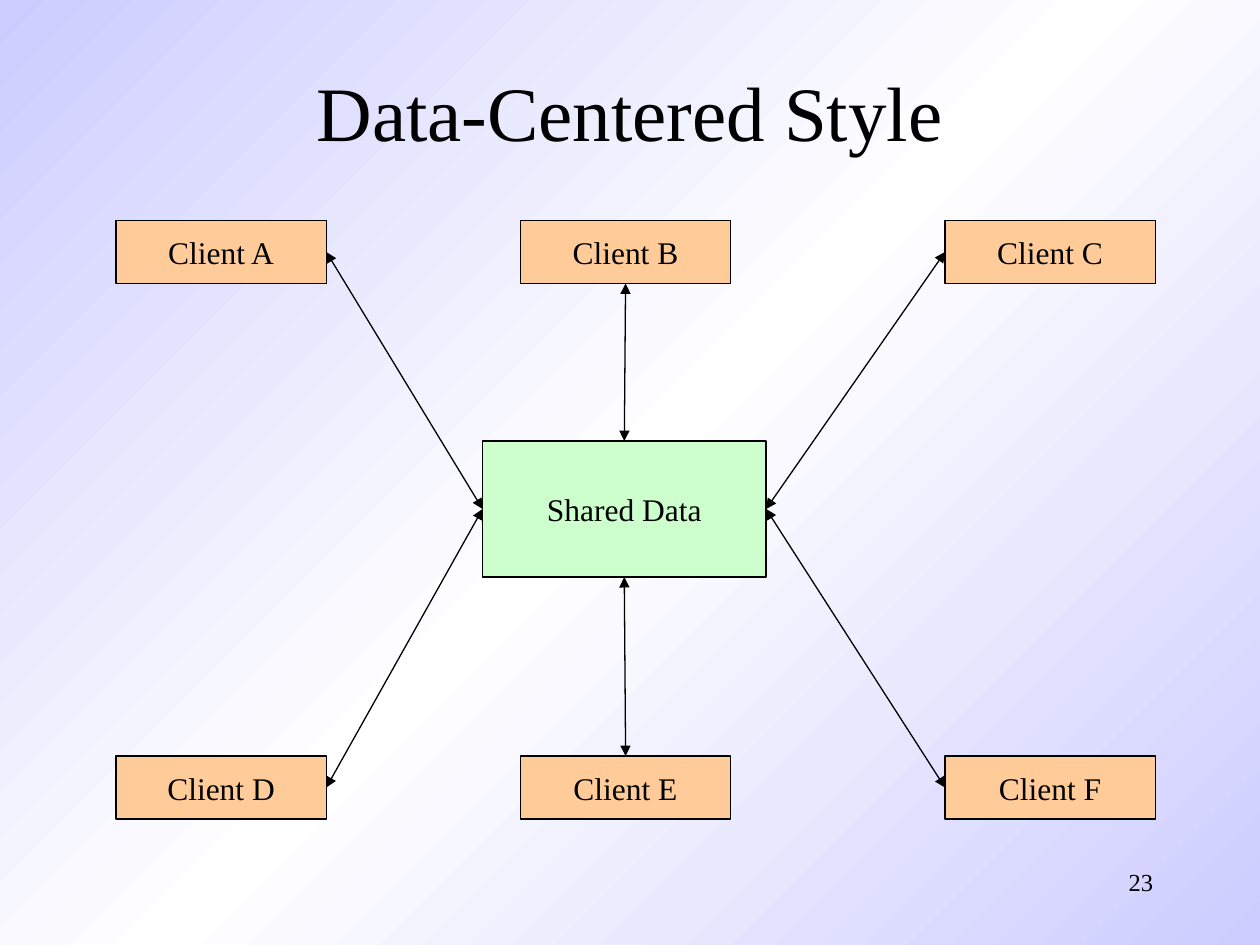
import copy

import pptx
import pptx.dml.color
import pptx.enum.shapes
import pptx.enum.text
import pptx.oxml
import pptx.oxml.ns
import pptx.util

Inches = pptx.util.Inches
ALIGN = pptx.enum.text.PP_ALIGN
ANCHOR = pptx.enum.text.MSO_ANCHOR
TOP, LEFT, BOTTOM, RIGHT = range(4)  # connection sites of a rectangle


def color(hex_string):
    return pptx.dml.color.RGBColor.from_string(hex_string)


def write(shape, text, size, align, frame_format):
    frame = shape.text_frame
    for name, value in frame_format.items():
        setattr(frame, name, value)
    para = frame.paragraphs[0]
    para.alignment = align
    span = para.add_run()
    span.text = text
    font_format = {"name": "Times New Roman", "size": pptx.util.Pt(size)}
    for name, value in font_format.items():
        setattr(span.font, name, value)
    span.font.color.rgb = color("000000")


deck = pptx.Presentation()
deck.slide_width = Inches(10)
deck.slide_height = Inches(7.5)
slide = deck.slides.add_slide(deck.slide_layouts[6])

# Diagonal background, white along the middle
fill = slide.background.fill
fill.gradient()
fill.gradient_angle = 315
stop_list = slide.element.find(".//" + pptx.oxml.ns.qn("a:gsLst"))
stop_list.insert(1, copy.deepcopy(stop_list[0]))
stops = [(0, "CCCCFF"), (0.5, "FFFFFF"), (1, "CCCCFF")]
for stop, (position, shade) in zip(fill.gradient_stops, stops):
    stop.position = position
    stop.color.rgb = color(shade)

# Title and page number
title = slide.shapes.add_textbox(Inches(0.75), Inches(0.25), Inches(8.5), Inches(1.25))
write(title, "Data-Centered Style", 44, ALIGN.CENTER,
      {"word_wrap": True, "vertical_anchor": ANCHOR.MIDDLE})
number = slide.shapes.add_textbox(Inches(7.17), Inches(6.83), Inches(2.08), Inches(0.5))
write(number, "23", 14, ALIGN.RIGHT, {"word_wrap": True, "vertical_anchor": ANCHOR.TOP})

# Shared data in the centre, clients in two rows of three
nodes = [("Shared Data", 3.83, 3.5, 2.25, 1.08, "CCFFCC")]
columns = [0.92, 4.13, 7.5]
rows = [(1.75, "ABC"), (6, "DEF")]
for top, letters in rows:
    for left, letter in zip(columns, letters):
        nodes.append((f"Client {letter}", left, top, 1.67, 0.5, "FFCC99"))

boxes = []
for text, left, top, width, height, shade in nodes:
    box = slide.shapes.add_shape(
        pptx.enum.shapes.MSO_SHAPE.RECTANGLE,
        Inches(left), Inches(top), Inches(width), Inches(height))
    box.shadow.inherit = False
    box.fill.solid()
    box.fill.fore_color.rgb = color(shade)
    box.line.color.rgb = color("000000")
    box.line.width = pptx.util.Pt(0.75)
    write(box, text, 18, ALIGN.CENTER,
          {"word_wrap": False, "vertical_anchor": ANCHOR.MIDDLE})
    boxes.append(box)

# Two-way arrows: (client site, shared data site), in client order
shared, *clients = boxes
sites = [(RIGHT, LEFT), (BOTTOM, TOP), (LEFT, RIGHT),
         (RIGHT, LEFT), (TOP, BOTTOM), (LEFT, RIGHT)]
for client, (client_site, shared_site) in zip(clients, sites):
    arrow = slide.shapes.add_connector(
        pptx.enum.shapes.MSO_CONNECTOR.STRAIGHT, 0, 0, 0, 0)
    arrow.begin_connect(client, client_site)
    arrow.end_connect(shared, shared_site)
    arrow.line.color.rgb = color("000000")
    arrow.line.width = pptx.util.Pt(0.75)
    line = arrow.line._get_or_add_ln()
    for tag in ("a:headEnd", "a:tailEnd"):
        end = pptx.oxml.parse_xml(f'<{tag} {pptx.oxml.ns.nsdecls("a")} type="triangle"/>')
        line.append(end)
    line.addnext(pptx.oxml.parse_xml(f'<a:effectLst {pptx.oxml.ns.nsdecls("a")}/>'))

deck.save("out.pptx")
